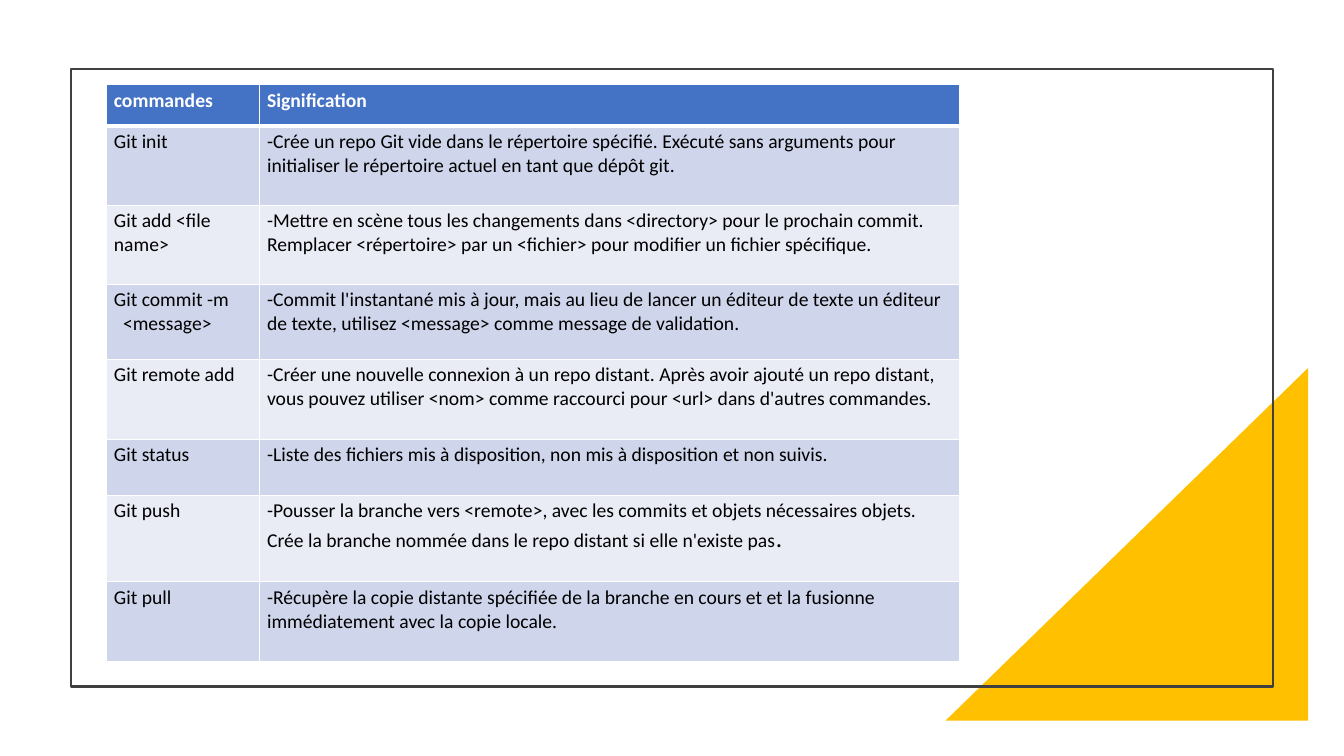
"""Build a slide with a table of Git commands and their meaning."""
from lxml.etree import SubElement
from pptx import Presentation
from pptx.dml.color import RGBColor as RGB
from pptx.enum.shapes import MSO_SHAPE as SHAPE
from pptx.oxml.ns import qn
from pptx.util import Cm, Pt

COLORS = {"white": "FFFFFF", "black": "000000", "gold": "FFC000", "frame": "404040",
          "header": "4472C4", "odd": "CFD5EA", "even": "E9EBF5"}
COL_WIDTHS = [3.86, 17.65]
ROWS = [
    (1.04, ["commandes"], ["Signification"]),
    (2, ["Git init"],
     ["-Crée un repo Git vide dans le répertoire spécifié. Exécuté sans arguments pour "
      "initialiser le répertoire actuel en tant que dépôt git."]),
    (1.99, ["Git add <file name>"],
     ["-Mettre en scène tous les changements dans <directory> pour le prochain commit. "
      "Remplacer <répertoire> par un <fichier> pour modifier un fichier spécifique."]),
    (1.89, ["Git commit -m", ("<message>", {"indent": 0.23})],
     ["-Commit l'instantané mis à jour, mais au lieu de lancer un éditeur de texte un éditeur "
      "de texte, utilisez <message> comme message de validation."]),
    (2.02, ["Git remote add"],
     ["-Créer une nouvelle connexion à un repo distant. Après avoir ajouté un repo distant, "
      "vous pouvez utiliser <nom> comme raccourci pour <url> dans d'autres commandes."]),
    (1.41, ["Git status"],
     ["-Liste des fichiers mis à disposition, non mis à disposition et non suivis."]),
    (2.18, ["Git push"],
     ["-Pousser la branche vers <remote>, avec les commits et objets nécessaires objets. "
      "Crée la branche nommée dans le repo distant si elle n'existe pas",
      (".", {"size": 18, "same": True})]),
    (2.01, ["Git pull"],
     ["-Récupère la copie distante spécifiée de la branche en cours et et la fusionne "
      "immédiatement avec la copie locale."]),
]


def write(tf, text, size=14, color="black", bold=False, font="Calibri", indent=0, same=False):
    p = tf.paragraphs[-1]
    if p.runs and not same:
        p = tf.add_paragraph()
    if indent:
        p._p.get_or_add_pPr().set("marL", str(Cm(indent)))
    r = p.add_run()
    r.text = text
    r.font.name, r.font.size, r.font.bold = font, Pt(size), bold
    r.font.color.rgb = RGB.from_string(COLORS[color])


class Deck:
    def __init__(self, width, height):
        self.prs = Presentation()
        self.prs.slide_width, self.prs.slide_height = Cm(width), Cm(height)
        self.slide = self.prs.slides.add_slide(self.prs.slide_layouts[6])

    def paint(self, target, color):
        target.fill.solid()
        target.fill.fore_color.rgb = RGB.from_string(COLORS[color])

    def shape(self, kind, box, fill=None, line=None, weight=1.5, flip=False):
        s = self.slide.shapes.add_shape(kind, *map(Cm, box))
        s.shadow.inherit = False
        if fill:
            self.paint(s, fill)
        else:
            s.fill.background()
        if line:
            s.line.color.rgb = RGB.from_string(COLORS[line])
            s.line.width = Pt(weight)
        else:
            s.line.fill.background()
        if flip:
            s.element.spPr.find(qn("a:xfrm")).set("flipH", "1")

    def borders(self, cell, top, bottom):
        tcPr = cell._tc.get_or_add_tcPr()
        for side, weight in (("L", 1), ("R", 1), ("T", top), ("B", bottom)):
            ln = SubElement(tcPr, qn(f"a:ln{side}"), w=str(Pt(weight)))
            SubElement(SubElement(ln, qn("a:solidFill")), qn("a:srgbClr"), val=COLORS["white"])

    def cell(self, cell, row, items):
        header = row == 0
        self.borders(cell, 3 if row == 1 else 1, 3 if header else 1)
        self.paint(cell, "header" if header else "odd" if row % 2 else "even")
        cell.margin_left = cell.margin_right = Cm(0.2)
        cell.margin_top = cell.margin_bottom = Cm(0.1)
        for item in items:
            text, style = (item, {}) if isinstance(item, str) else item
            write(cell.text_frame, text, color="white" if header else "black",
                  bold=header, **style)

    def table(self, left, top, widths, rows):
        height = sum(row[0] for row in rows)
        box = map(Cm, (left, top, sum(widths), height))
        tbl = self.slide.shapes.add_table(len(rows), len(widths), *box).table
        for col, width in zip(tbl.columns, widths):
            col.width = Cm(width)
        for i, (row_height, *cells) in enumerate(rows):
            tbl.rows[i].height = Cm(row_height)
            for j, items in enumerate(cells):
                self.cell(tbl.cell(i, j), i, items)


deck = Deck(33.87, 19.05)
deck.shape(SHAPE.RIGHT_TRIANGLE, (23.83, 9.27, 9.14, 8.89), fill="gold", flip=True)
deck.shape(SHAPE.RECTANGLE, (1.78, 1.73, 30.3, 15.57), line="frame")
deck.table(2.67, 2.13, COL_WIDTHS, ROWS)
deck.prs.save("out.pptx")
